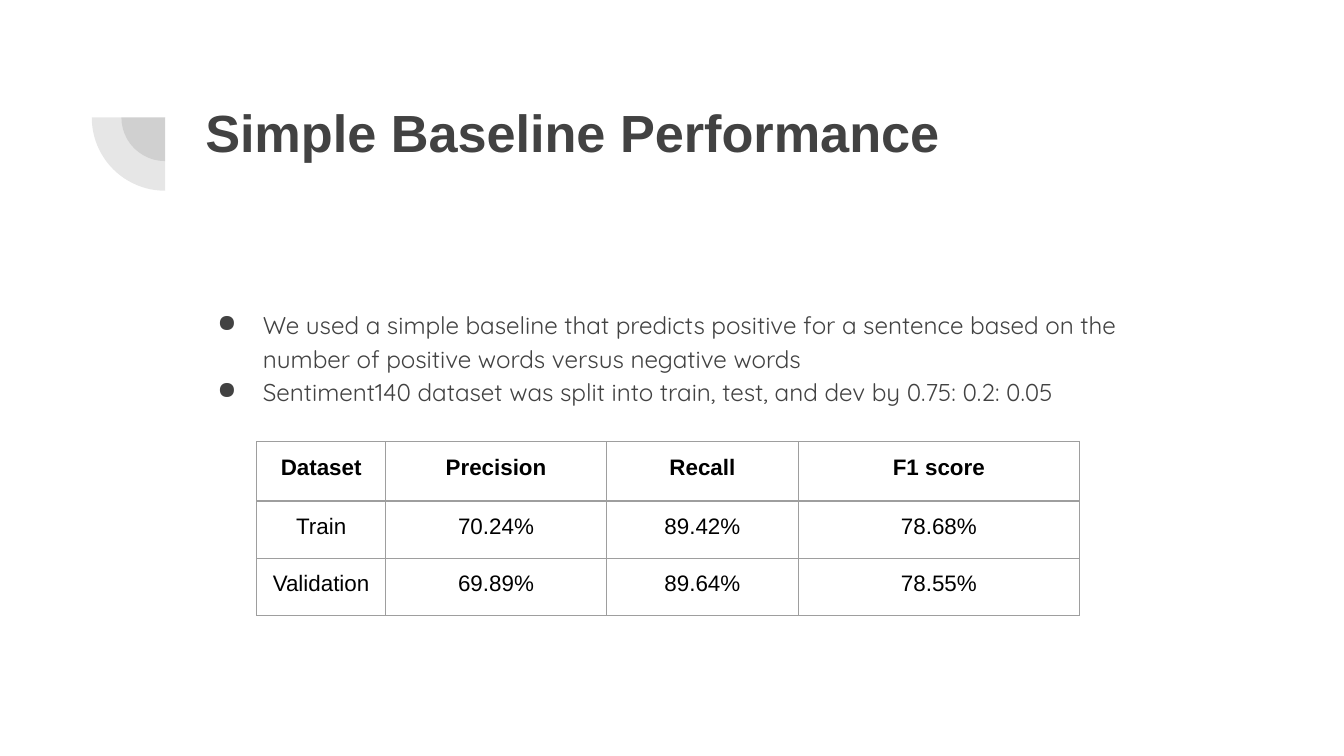
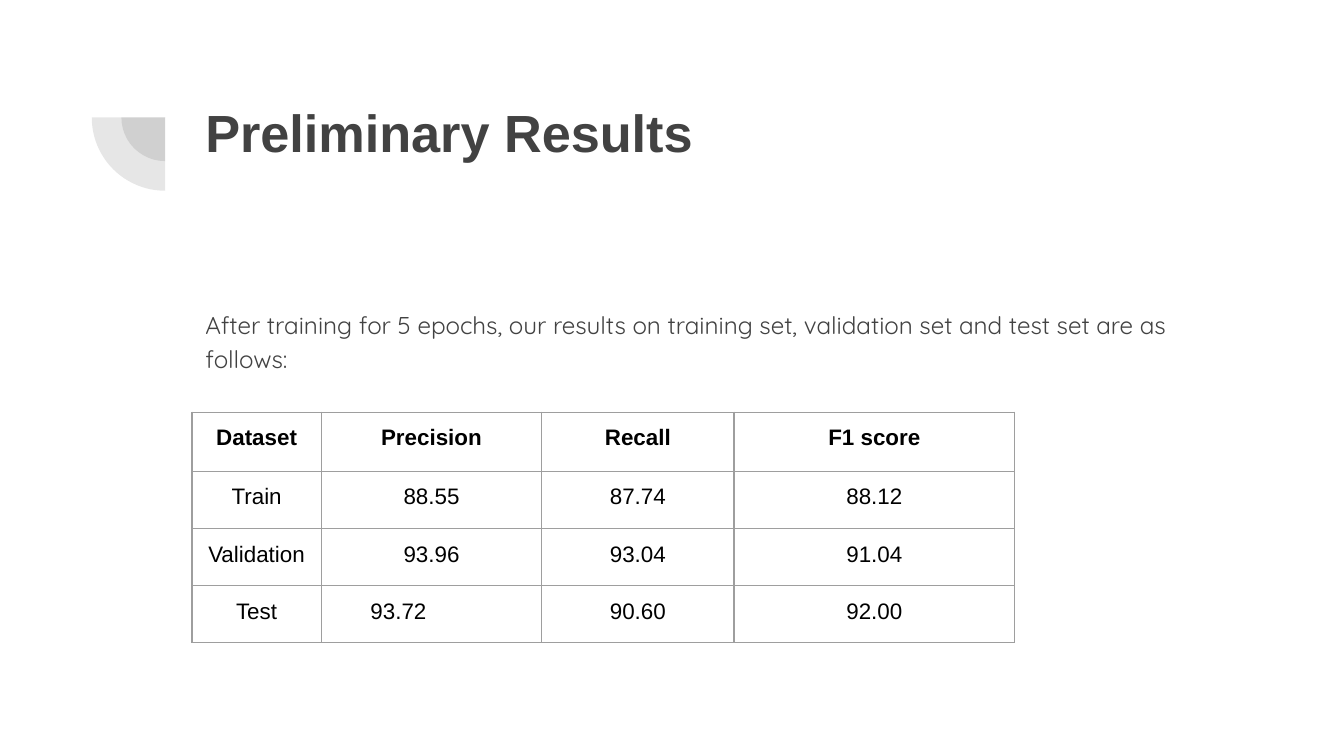
from lxml.etree import SubElement
from pptx import Presentation
from pptx.dml.color import RGBColor
from pptx.enum.shapes import MSO_SHAPE
from pptx.enum.text import PP_ALIGN
from pptx.oxml import parse_xml
from pptx.oxml.ns import nsdecls, qn
from pptx.util import Cm, Pt

COLORS = {"ink": "424242", "cell": "000000", "grid": "9E9E9E"}
HEADER = ("Dataset", "Precision", "Recall", "F1 score")
COL_WIDTHS = (2.44, 4.17, 3.63, 5.31)
HEADER_HEIGHT, ROW_HEIGHT = 1.12, 1.08
INSET = 0.25
PIE_CENTER = (3.12, 2.22)
PIE_DIAMETERS = (1.65, 2.77)

SLIDES = [
    {
        "title": "Simple Baseline Performance",
        "body": [
            "We used a simple baseline that predicts positive for a sentence based on "
            "the number of positive words versus negative words",
            "Sentiment140 dataset was split into train, test, and dev by 0.75: 0.2: 0.05",
        ],
        "bullets": True,
        "body_left": 3.45,
        "table_at": (4.85, 8.35),
        "rows": [
            ("Train", "70.24%", "89.42%", "78.68%"),
            ("Validation", "69.89%", "89.64%", "78.55%"),
        ],
        "right_insets": {},
    },
    {
        "title": "Preliminary Results",
        "body": [
            "After training for 5 epochs, our results on training set, validation set "
            "and test set are as follows:",
        ],
        "bullets": False,
        "body_left": 3.63,
        "table_at": (3.63, 7.79),
        "rows": [
            ("Train", "88.55", "87.74", "88.12"),
            ("Validation", "93.96", "93.04", "91.04"),
            ("Test", "93.72", "90.60", "92.00"),
        ],
        "right_insets": {(3, 1): 1.5},
    },
]


def rgb(name):
    return RGBColor.from_string(COLORS[name])


def add_run(p, text, size, font, color, bold=False):
    r = p.add_run()
    r.text = text
    r.font.size = Pt(size)
    r.font.name = font
    r.font.bold = bold
    r.font.color.rgb = rgb(color)


def set_insets(target):
    for side in ("left", "right", "top", "bottom"):
        setattr(target, f"margin_{side}", Cm(INSET))


def add_box(s, left, top, width, height):
    tf = s.shapes.add_textbox(Cm(left), Cm(top), Cm(width), Cm(height)).text_frame
    tf.word_wrap = True
    set_insets(tf)
    return tf


def add_pies(s):
    x, y = PIE_CENTER
    for d in PIE_DIAMETERS:
        sp = s.shapes.add_shape(MSO_SHAPE.PIE, Cm(x - d / 2), Cm(y - d / 2), Cm(d), Cm(d))
        sp.adjustments[0], sp.adjustments[1] = 108, 162
        sp.rotation = 270
        sp.shadow.inherit = False
        sp.line.fill.background()
        sp.fill.solid()
        sp.fill.fore_color.rgb = rgb("ink")
        color = sp.fill._xPr.find(qn("a:solidFill"))[0]
        SubElement(color, qn("a:alpha"), val="13000")


def add_bullet(p):
    pPr = p._p.get_or_add_pPr()
    pPr.set("marL", str(Cm(1.27)))
    pPr.set("indent", str(Cm(-0.86)))
    buClr = SubElement(pPr, qn("a:buClr"))
    SubElement(buClr, qn("a:srgbClr"), val=COLORS["ink"])
    SubElement(pPr, qn("a:buChar"), char="●")


def add_body(s, left, texts, bullets):
    tf = add_box(s, left, 5.54, 19.53, 7.06)
    for i, text in enumerate(texts):
        p = tf.add_paragraph() if i else tf.paragraphs[0]
        p.line_spacing = 1.15
        if bullets:
            add_bullet(p)
        add_run(p, text, 13, "Quicksand", "ink")


def set_borders(cell):
    tcPr = cell._tc.get_or_add_tcPr()
    for i, side in enumerate("LRTB"):
        tcPr.insert(i, parse_xml(
            f'<a:ln{side} {nsdecls("a")} w="{Pt(0.75)}"><a:solidFill>'
            f'<a:srgbClr val="{COLORS["grid"]}"/></a:solidFill></a:ln{side}>'))


def add_results(s, at, rows, right_insets):
    data = [HEADER, *rows]
    heights = [HEADER_HEIGHT] + [ROW_HEIGHT] * len(rows)
    size = (sum(COL_WIDTHS), sum(heights))
    tbl = s.shapes.add_table(len(data), len(HEADER), *map(Cm, at + size)).table
    tbl.first_row = tbl.horz_banding = False
    for col, width in zip(tbl.columns, COL_WIDTHS):
        col.width = Cm(width)
    for i, (values, height) in enumerate(zip(data, heights)):
        tbl.rows[i].height = Cm(height)
        for j, value in enumerate(values):
            cell = tbl.cell(i, j)
            set_insets(cell)
            cell.margin_right = Cm(right_insets.get((i, j), INSET))
            cell.fill.background()
            set_borders(cell)
            p = cell.text_frame.paragraphs[0]
            p.alignment = PP_ALIGN.CENTER
            add_run(p, value, 12, "Arial", "cell", bold=i == 0)


def main():
    prs = Presentation()
    prs.slide_width, prs.slide_height = Cm(25.4), Cm(14.29)
    for content in SLIDES:
        s = prs.slides.add_slide(prs.slide_layouts[6])
        add_pies(s)
        title = add_box(s, 3.63, 1.65, 19.53, 2.77)
        add_run(title.paragraphs[0], content["title"], 28, "Arial", "ink", bold=True)
        add_body(s, content["body_left"], content["body"], content["bullets"])
        add_results(s, content["table_at"], content["rows"], content["right_insets"])
    prs.save("out.pptx")


if __name__ == "__main__":
    main()
